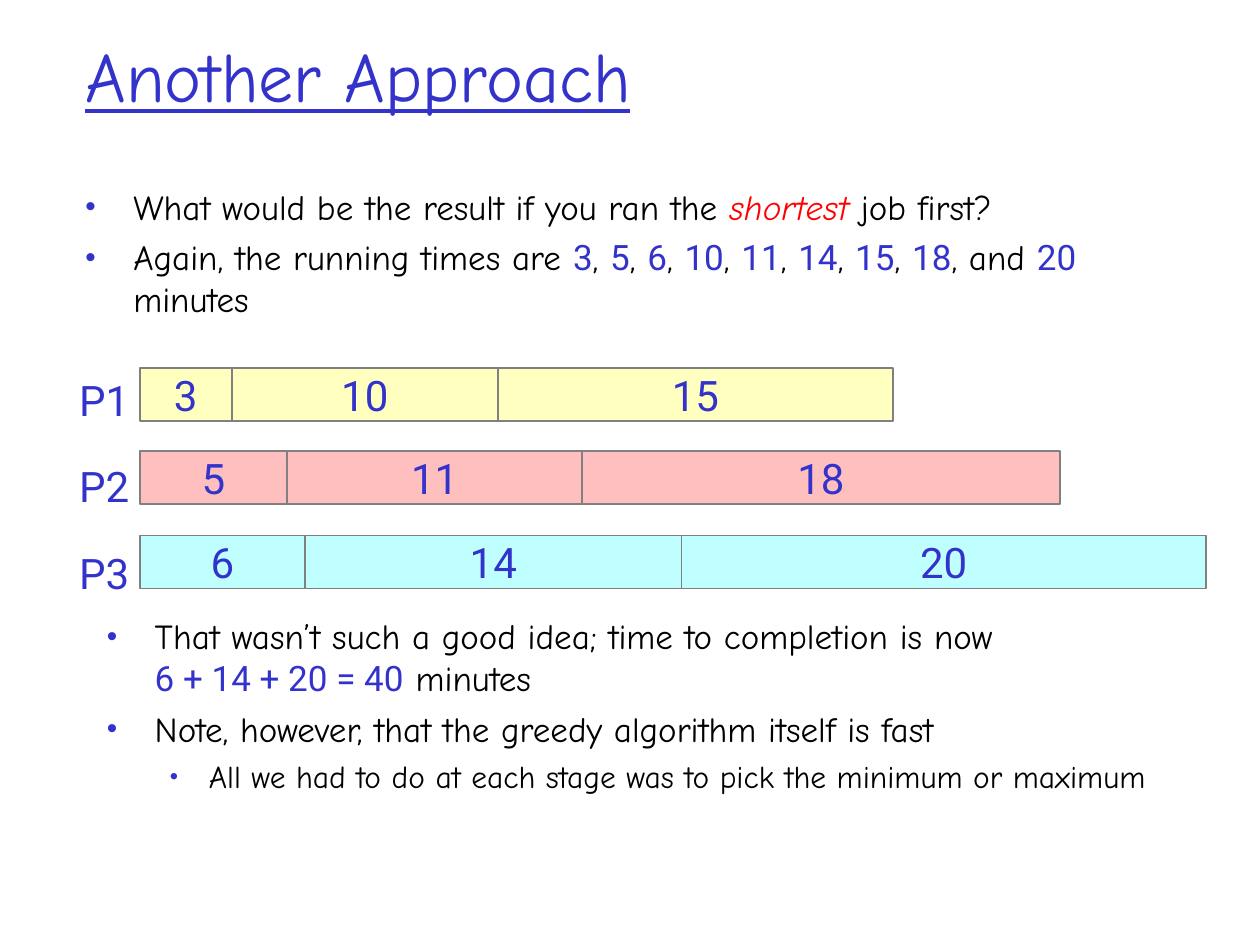
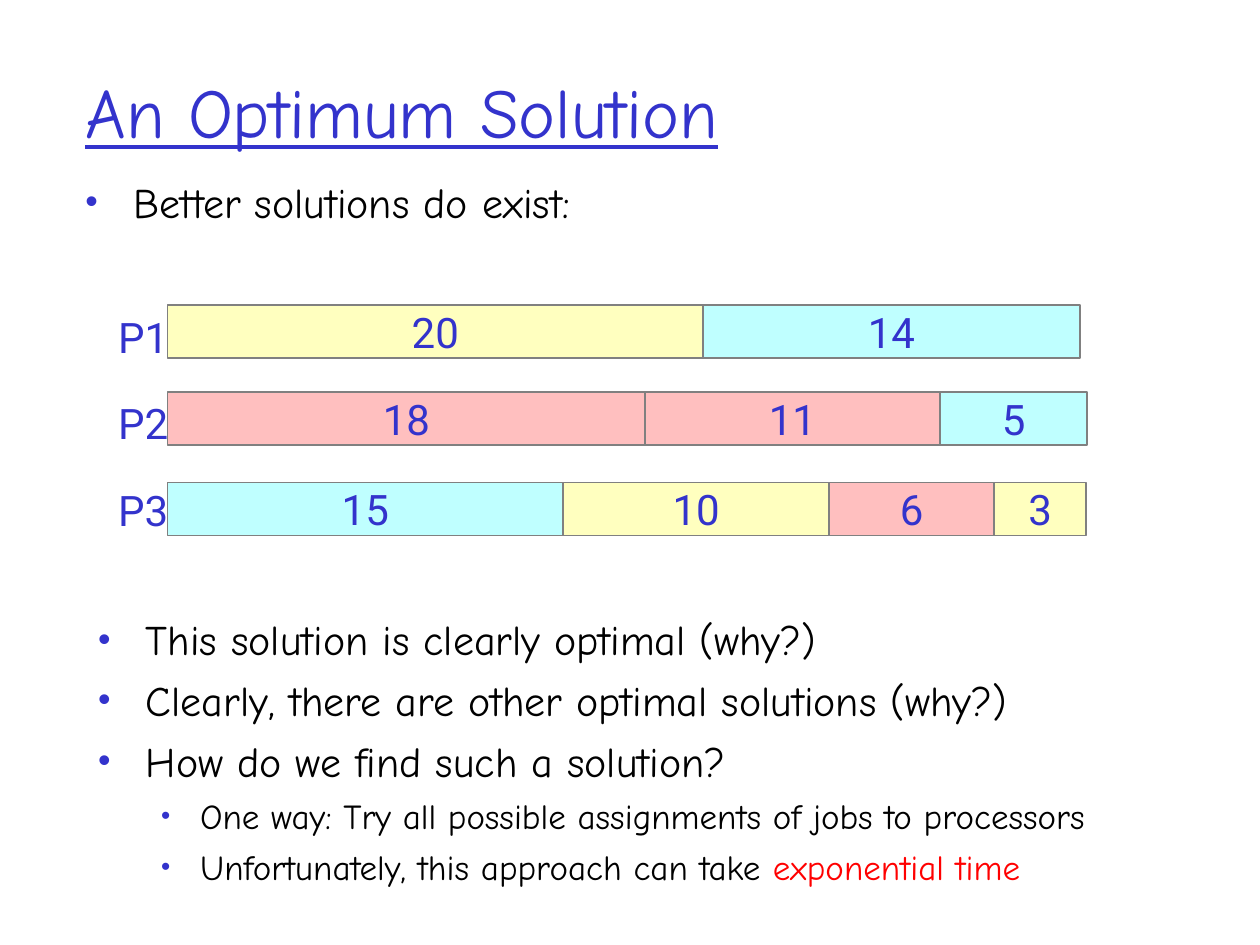
from lxml.etree import SubElement
from pptx import Presentation
from pptx.dml.color import RGBColor
from pptx.enum.shapes import MSO_SHAPE
from pptx.enum.text import MSO_ANCHOR, PP_ALIGN
from pptx.oxml.ns import qn
from pptx.util import Inches, Pt

BLUE = RGBColor(0x33, 0x33, 0xCC)
BLACK = RGBColor(0, 0, 0)
RED = RGBColor(0xFF, 0, 0)
GRAY = RGBColor(0x80, 0x80, 0x80)
LEMON = RGBColor(0xFF, 0xFF, 0xBF)
PINK = RGBColor(0xFF, 0xBF, 0xBF)
AQUA = RGBColor(0xBF, 0xFF, 0xFF)

PLAIN = {"name": "Comic Neue"}
DIGIT = {"name": "Roboto"}
HEAD = {**PLAIN, "size": Pt(40), "underline": True}
LABEL = {**DIGIT, "size": Pt(24)}
BREAK = "\n"

WIDTHS = {3: 0.73, 5: 1.17, 6: 1.31, 10: 2.11, 11: 2.34,
          14: 2.99, 15: 3.14, 18: 3.79, 20: 4.16}
BAR_HIGH = 0.42
INDENTS = [(0.38, -0.38, 85), (0.81, -0.31, 75)]


def style(font, form, color):
    for key, value in form.items():
        setattr(font, key, value)
    font.color.rgb = color


def add_run(para, text, form, color):
    run = para.add_run()
    run.text = text
    style(run.font, form, color)


def add_box(slide, left, top, width, height):
    box = slide.shapes.add_textbox(*map(Inches, (left, top, width, height)))
    box.text_frame.word_wrap = True
    return box.text_frame


def next_para(frame, index):
    return frame.add_paragraph() if index else frame.paragraphs[0]


def add_title(slide, text, height):
    frame = add_box(slide, 0.58, 0.25, 8.5, height)
    frame.vertical_anchor = MSO_ANCHOR.MIDDLE
    add_run(frame.paragraphs[0], text, HEAD, BLUE)


def add_bullet(para, level):
    margin, indent, percent = INDENTS[level]
    props = para._p.get_or_add_pPr()
    props.set("marL", str(Inches(margin)))
    props.set("indent", str(Inches(indent)))
    tint = SubElement(props, qn("a:buClr"))
    SubElement(tint, qn("a:srgbClr"), val=str(BLUE))
    SubElement(props, qn("a:buSzPct"), val=str(percent * 1000))
    SubElement(props, qn("a:buFont"), typeface="Arial")
    SubElement(props, qn("a:buChar"), char="•")
    para.level = level


def add_list(slide, place, items, sizes):
    frame = add_box(slide, *place)
    for index, (level, parts) in enumerate(items):
        para = next_para(frame, index)
        add_bullet(para, level)
        size = sizes[level]
        if index:
            para.space_before = Pt(size / 4)
        para.font.size = Pt(size)
        for part in parts:
            if part == BREAK:
                para.add_line_break()
                continue
            text, form, color = part
            add_run(para, text, {**form, "size": Pt(size)}, color)


def say(text):
    return text, PLAIN, BLACK


def count(text):
    return str(text), DIGIT, BLUE


def list_times():
    *most, last = WIDTHS
    parts = [say("Again, the running times are ")]
    for time in most:
        parts += [count(time), say(", ")]
    return parts[:-1] + [say(", and "), count(last), say(" minutes")]


def add_bar(slide, left, top, width, time, fill):
    bar = slide.shapes.add_shape(
        MSO_SHAPE.RECTANGLE, *map(Inches, (left, top, width, BAR_HIGH)))
    bar.shadow.inherit = False
    bar.fill.solid()
    bar.fill.fore_color.rgb = fill
    bar.line.color.rgb = GRAY
    bar.line.width = Pt(1)
    frame = bar.text_frame
    frame.word_wrap = False
    frame.vertical_anchor = MSO_ANCHOR.MIDDLE
    para = frame.paragraphs[0]
    para.alignment = PP_ALIGN.CENTER
    add_run(para, str(time), LABEL, BLUE)


def add_chart_rows(slide, start, rows, widths):
    for top, jobs in rows:
        left = start
        for time, fill in jobs:
            add_bar(slide, left, top, widths[time], time, fill)
            left += widths[time]


def add_labels(slide, left, top):
    frame = add_box(slide, left, top, 0.66, 1.95)
    for index in range(3):
        para = next_para(frame, index)
        para.line_spacing = 1.2
        if index:
            para.space_before = Pt(15)
        add_run(para, f"P{index + 1}", LABEL, BLUE)


def build_first(slide):
    add_title(slide, "Another Approach", 0.68)
    sizes = (20, 18)
    add_list(slide, (0.58, 1.42, 8.5, 5.41), [
        (0, [say("What would be the result if you ran the "),
             ("shortest", {**PLAIN, "italic": True}, RED),
             say(" job first?")]),
        (0, list_times()),
    ], sizes)
    add_list(slide, (0.75, 4.83, 8.67, 2), [
        (0, [say("That wasn’t such a good idea; time to completion is now"),
             BREAK, count("6 + 14 + 20 = 40"), say(" minutes")]),
        (0, [say("Note, however, that the greedy algorithm itself is fast")]),
        (1, [say("All we had to do at each stage was to pick "
                 "the minimum or maximum")]),
    ], sizes)
    tops = (2.92, 3.58, 4.25)
    fills = (LEMON, PINK, AQUA)
    times = list(WIDTHS)
    rows = [(top, [(time, fill) for time in times[index::3]])
            for index, (top, fill) in enumerate(zip(tops, fills))]
    add_chart_rows(slide, 1.11, rows, WIDTHS)
    add_labels(slide, 0.53, 2.84)


def build_second(slide):
    add_title(slide, "An Optimum Solution", 1.25)
    sizes = (24, 20)
    add_list(slide, (0.58, 1.35, 8.5, 5.08),
             [(0, [say("Better solutions do exist:")])], sizes)
    add_list(slide, (0.68, 4.82, 8.87, 2.31), [
        (0, [say("This solution is clearly optimal (why?)")]),
        (0, [say("Clearly, there are other optimal solutions (why?)")]),
        (0, [say("How do we find such a solution?")]),
        (1, [say("One way: Try all possible assignments "
                 "of jobs to processors")]),
        (1, [say("Unfortunately, this approach can take "),
             ("exponential time", PLAIN, RED)]),
    ], sizes)
    add_chart_rows(slide, 1.33, [
        (2.42, [(20, LEMON), (14, AQUA)]),
        (3.11, [(18, PINK), (11, PINK), (5, AQUA)]),
        (3.83, [(15, AQUA), (10, LEMON), (6, PINK), (3, LEMON)]),
    ], {**WIDTHS, 20: 4.25})
    add_labels(slide, 0.84, 2.34)


def main():
    deck = Presentation()
    deck.slide_width = Inches(10)
    deck.slide_height = Inches(7.5)
    for build in (build_first, build_second):
        build(deck.slides.add_slide(deck.slide_layouts[6]))
    deck.save("out.pptx")


if __name__ == "__main__":
    main()
